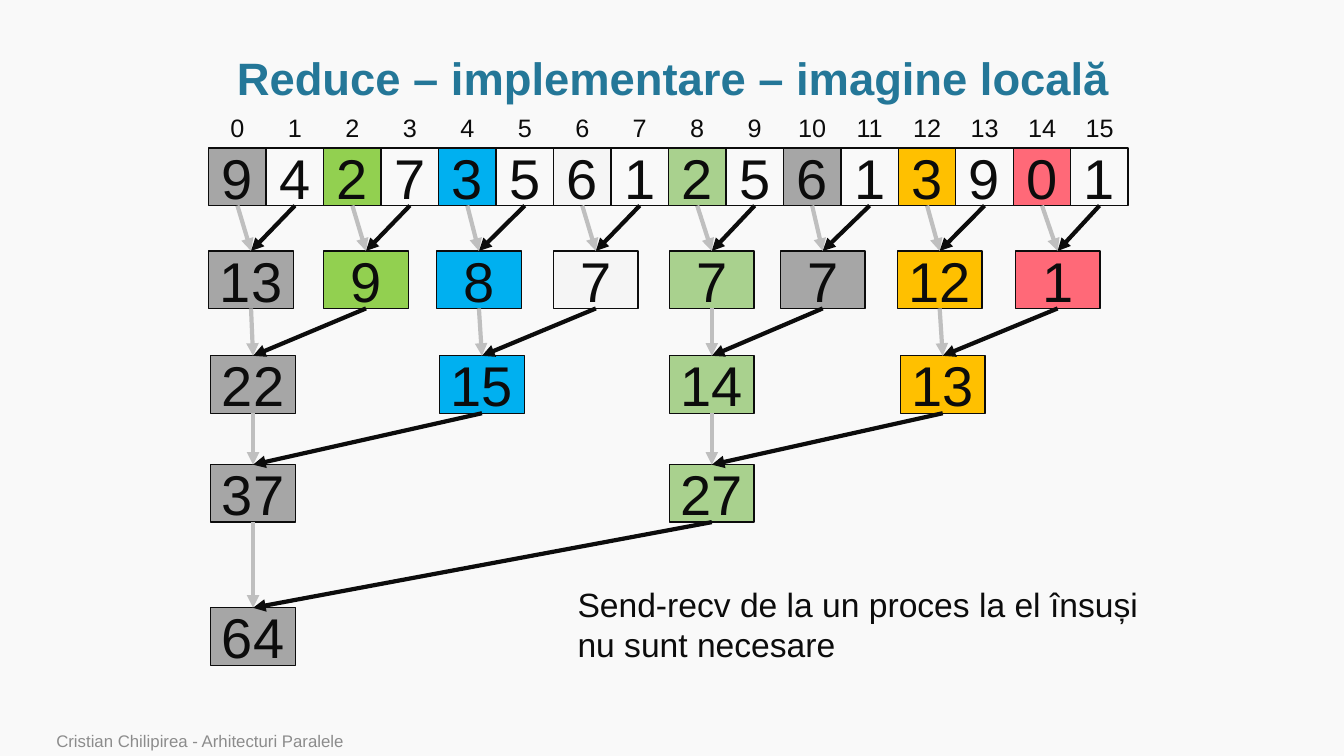
from dataclasses import dataclass

from lxml import etree
from pptx import Presentation
from pptx.dml.color import RGBColor
from pptx.enum.shapes import MSO_CONNECTOR, MSO_SHAPE
from pptx.enum.text import MSO_ANCHOR, MSO_AUTO_SIZE, PP_ALIGN
from pptx.oxml.ns import qn
from pptx.util import Inches, Pt

RECTANGLE = MSO_SHAPE.RECTANGLE
STRAIGHT = MSO_CONNECTOR.STRAIGHT
LEFT, CENTER = PP_ALIGN.LEFT, PP_ALIGN.CENTER
TOP, MIDDLE, BOTTOM = MSO_ANCHOR.TOP, MSO_ANCHOR.MIDDLE, MSO_ANCHOR.BOTTOM
FIT_SHAPE = MSO_AUTO_SIZE.SHAPE_TO_FIT_TEXT
TOP_SITE, BOTTOM_SITE = 0, 2


@dataclass(frozen=True)
class Theme:
    """Colours, font and type sizes of the slide."""
    font: str = "Arial"
    background: str = "F9F9F9"
    ink: str = "0C0C0C"
    title: str = "247798"
    footer: str = "8C8C8C"
    local: str = "BFBFBF"
    processes: tuple = ("A6A6A6", "92D050", "00B0F0", "F5F5F5",
                        "A9D18E", "A6A6A6", "FFC000", "FF6978")
    title_size: float = 32.4
    value_size: float = 40
    note_size: float = 24
    index_size: float = 18
    footer_size: float = 12


@dataclass(frozen=True)
class Node:
    """A value held by a process, with its colour and box."""
    value: int
    color: str
    shape: object


THEME = Theme()
VALUES = (9, 4, 2, 7, 3, 5, 6, 1, 2, 5, 6, 1, 3, 9, 0, 1)
ARRAY_LEFT, ARRAY_TOP, CELL = 2.07, 1.47, 0.57
SUM_WIDTH = 0.84
LEVELS = (
    (2.49, (2.07, 3.21, 4.33, 5.49, 6.64, 7.74, 8.9, 10.07)),
    (3.53, (2.09, 4.36, 6.64, 8.93)),
    (4.61, (2.09, 6.64)),
    (6.03, (2.09,)),
)


def rgb(color):
    """Return a colour object for a hex string."""
    return RGBColor.from_string(color)


def write(frame, text, size, color=THEME.ink, align=LEFT, anchor=TOP):
    """Write one paragraph into a text frame and return it."""
    frame.vertical_anchor = anchor
    paragraph = frame.paragraphs[0]
    paragraph.text = text
    paragraph.alignment = align
    paragraph.font.name = THEME.font
    paragraph.font.size = Pt(size)
    paragraph.font.color.rgb = rgb(color)
    return paragraph


def add_text(slide, box, text, size, wrap=True, **style):
    """Add a text box at left, top, width, height and return its frame."""
    frame = slide.shapes.add_textbox(*map(Inches, box)).text_frame
    frame.word_wrap = wrap
    write(frame, text, size, **style)
    return frame


def add_node(slide, left, top, width, value, color=None):
    """Add an outlined box holding a value."""
    shape = slide.shapes.add_shape(
        RECTANGLE, Inches(left), Inches(top), Inches(width), Inches(CELL))
    shape.shadow.inherit = False
    if color:
        shape.fill.solid()
        shape.fill.fore_color.rgb = rgb(color)
    else:
        shape.fill.background()
    shape.line.color.rgb = rgb(THEME.ink)
    shape.line.width = Pt(1)
    write(shape.text_frame, str(value), THEME.value_size,
          align=CENTER, anchor=MIDDLE)
    return Node(value, color, shape)


def add_arrow(slide, source, target, color):
    """Add an arrow from the bottom of one node to the top of another."""
    arrow = slide.shapes.add_connector(STRAIGHT, 0, 0, 0, 0)
    arrow.begin_connect(source.shape, BOTTOM_SITE)
    arrow.end_connect(target.shape, TOP_SITE)
    arrow.line.color.rgb = rgb(color)
    arrow.line.width = Pt(3)
    line = arrow.line._get_or_add_ln()
    etree.SubElement(line, qn("a:tailEnd"), type="triangle")
    etree.SubElement(arrow._element.spPr, qn("a:effectLst"))


def add_array(slide):
    """Add the indexed input cells and return their nodes."""
    nodes = []
    for index, value in enumerate(VALUES):
        left = ARRAY_LEFT + index * CELL
        color = None if index % 2 else THEME.processes[index // 2]
        nodes.append(add_node(slide, left, ARRAY_TOP, CELL, value, color))
        width = 0.34 if index < 10 else 0.48
        box = (left + (CELL - width) / 2, 1.07, width, 0.4)
        frame = add_text(slide, box, str(index), THEME.index_size,
                         wrap=False, align=CENTER)
        frame.auto_size = FIT_SHAPE
    return nodes


def add_level(slide, nodes, top, lefts):
    """Add the pairwise sums of the nodes and return the sum nodes."""
    sums = []
    for left, receiver, sender in zip(lefts, nodes[::2], nodes[1::2]):
        total = add_node(slide, left, top, SUM_WIDTH,
                         receiver.value + sender.value, receiver.color)
        add_arrow(slide, receiver, total, THEME.local)
        add_arrow(slide, sender, total, THEME.ink)
        sums.append(total)
    return sums


def main():
    """Build the reduction slide and save it."""
    presentation = Presentation()
    presentation.slide_width = Inches(13.33)
    presentation.slide_height = Inches(7.5)
    slide = presentation.slides.add_slide(presentation.slide_layouts[6])
    slide.background.fill.solid()
    slide.background.fill.fore_color.rgb = rgb(THEME.background)

    title = add_text(slide, (2.02, 0.55, 9.31, 0.5),
                     "Reduce – implementare – imagine locală",
                     THEME.title_size, color=THEME.title,
                     align=CENTER, anchor=MIDDLE).paragraphs[0]
    title.font.bold = True
    title.line_spacing = 0.9

    nodes = add_array(slide)
    for top, lefts in LEVELS:
        nodes = add_level(slide, nodes, top, lefts)

    add_text(slide, (5.63, 5.74, 5.9, 0.91),
             "Send-recv de la un proces la el însuși nu sunt necesare",
             THEME.note_size).auto_size = FIT_SHAPE
    add_text(slide, (0.46, 7.22, 9.82, 0.28),
             "Cristian Chilipirea - Arhitecturi Paralele",
             THEME.footer_size, color=THEME.footer, anchor=BOTTOM)
    presentation.save("out.pptx")


if __name__ == "__main__":
    main()
